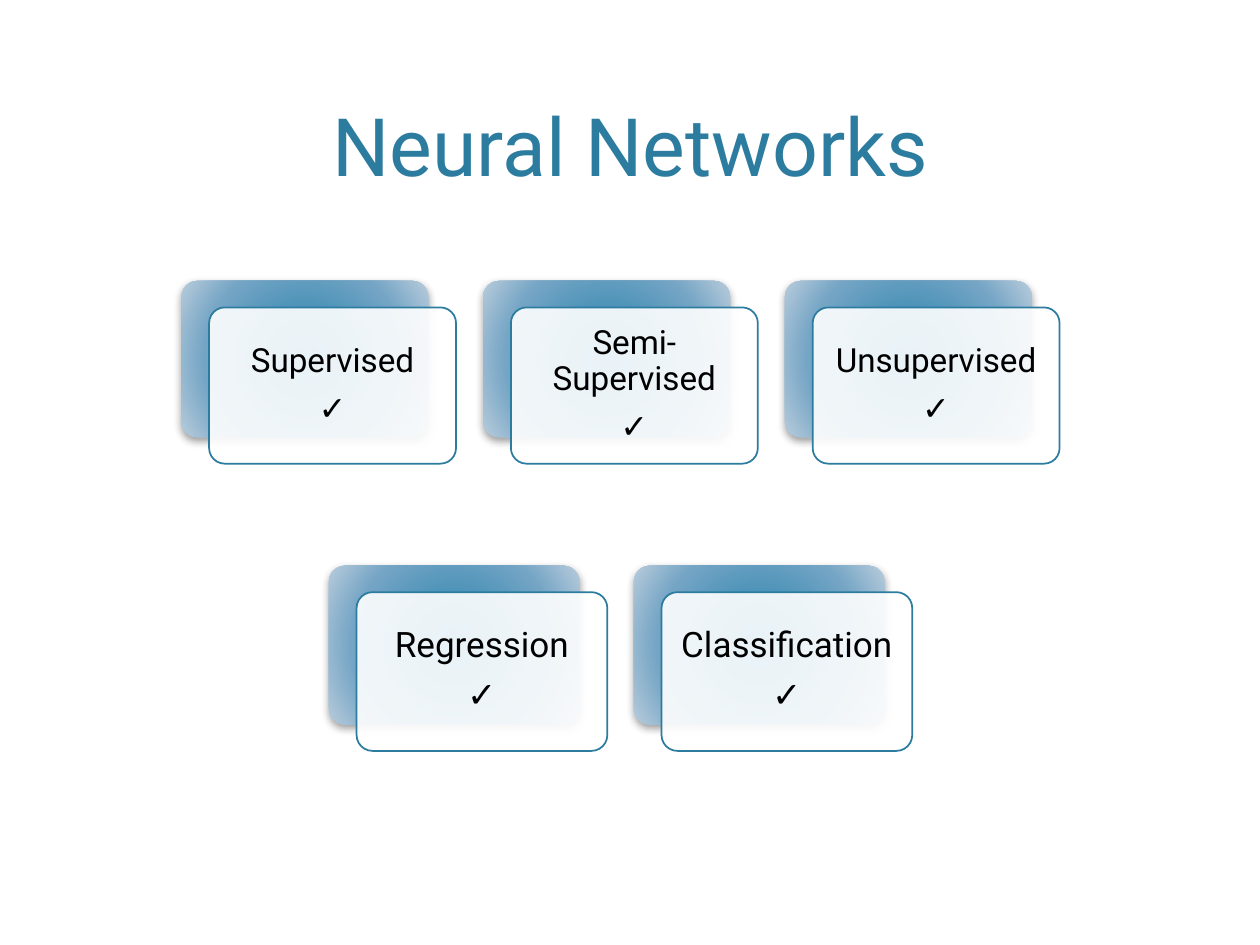
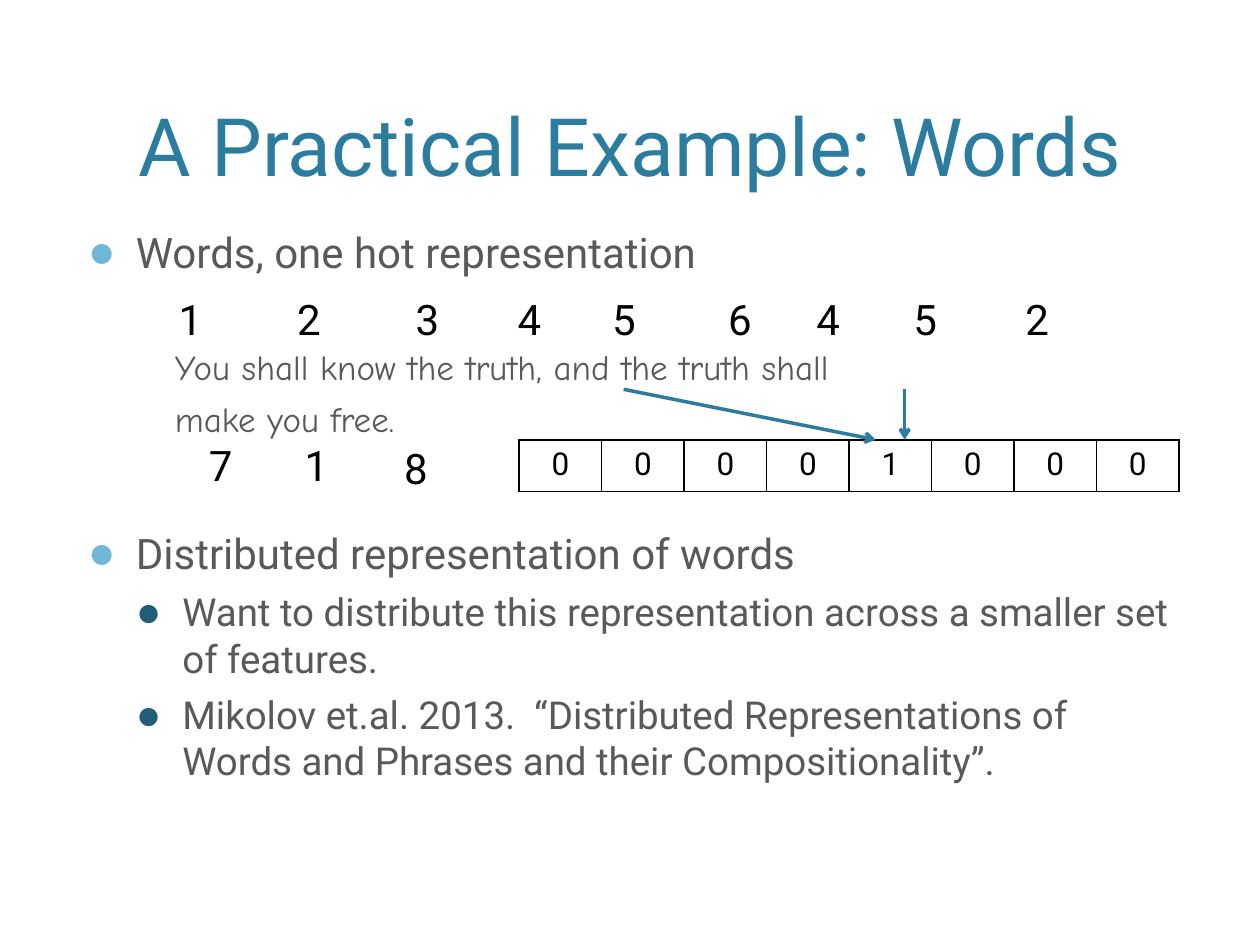
import pptx
import pptx.util
import pptx.dml.color
import pptx.enum.shapes
import pptx.enum.text
import pptx.oxml
import pptx.oxml.ns

Inches = pptx.util.Inches
Pt = pptx.util.Pt
ALIGN = pptx.enum.text.PP_ALIGN
ANCHOR = pptx.enum.text.MSO_ANCHOR
SHAPE = pptx.enum.shapes.MSO_SHAPE

# Shared look
FONT, QUOTE_FONT, CHECK_FONT = "Roboto", "Comic Neue", "Arial"
TEAL, GRAY, BLACK, WHITE = "2C7C9F", "595959", "000000", "FFFFFF"
GRADIENT = [(0, "2080AB"), (69, "75A5C5"), (100, "B8CCDC")]
TITLE_BOX = (0.6, 0.12, 8.8, 1.46)
TITLE_SIZE = 46

# Content: slide 1
NETWORKS_TITLE = "Neural Networks"
CARD_ROWS = [
    dict(labels=["Supervised", "Semi-Supervised", "Unsupervised"],
         left=1.44, top=2.23, width=1.96, height=1.24, step=2.395, size=19),
    dict(labels=["Regression", "Classification"],
         left=2.61, top=4.49, width=1.99, height=1.26, step=2.42, size=20),
]
CARD_SHIFT = (0.22, 0.21)

# Content: slide 2
WORDS_TITLE = "A Practical Example: Words"
BODY_BOX = (0.6, 1.75, 8.8, 5.58)
BODY_STYLES = {
    "heading": dict(size=24, font=FONT, margin=0.38, indent=-0.38, bullet="6FB7D7"),
    "quote": dict(size=20, font=QUOTE_FONT, margin=0.69, indent=0, bullet=None),
    "point": dict(size=22, font=FONT, margin=0.75, indent=-0.37, bullet="215D77"),
}
BODY = [  # style, space before in points, text
    ("heading", 0, "Words, one hot representation"),
    ("quote", 39, "You shall know the truth, and the truth shall"),
    ("quote", 6, "make you free."),
    ("heading", 50, "Distributed representation of words"),
    ("point", 6, "Want to distribute this representation across a smaller set of features."),
    ("point", 6, "Mikolov et.al. 2013.  “Distributed Representations of Words "
                 "and Phrases and their Compositionality”."),
]
WORD_NUMBERS = [  # number, left, top
    ("1", 1.32, 2.28), ("2", 2.26, 2.28), ("3", 3.2, 2.28), ("4", 4.01, 2.28),
    ("5", 4.76, 2.28), ("6", 5.68, 2.28), ("4", 6.38, 2.28), ("5", 7.15, 2.28),
    ("2", 8.04, 2.28), ("7", 1.56, 3.44), ("1", 2.32, 3.44), ("8", 3.11, 3.46),
]
NUMBER_SIZE = (0.38, 0.5)
ONE_HOT = "00001000"
ONE_HOT_BOX = (4.12, 3.49, 5.24, 0.41)
ARROWS = [((7.18, 3.09), (7.18, 3.49)), ((4.95, 3.09), (6.95, 3.49))]


def inches(values):
    return [Inches(value) for value in values]


def color(hex_value):
    return pptx.dml.color.RGBColor.from_string(hex_value)


def xml(text):
    namespace = pptx.oxml.ns.nsdecls("a")
    return pptx.oxml.parse_xml(text.replace(">", f" {namespace}>", 1)
                               if "/>" not in text.split(">")[0] + ">"
                               else text.replace("/>", f" {namespace}/>", 1))


def set_all(target, **values):
    for name, value in values.items():
        setattr(target, name, value)


def write(paragraph, text, size, font=FONT, fill=BLACK, **layout):
    set_all(paragraph, **layout)
    run = paragraph.add_run()
    run.text = text
    set_all(run.font, size=Pt(size), name=font, bold=False)
    run.font.color.rgb = color(fill)


def add_titled_slide(presentation, text):
    slide = presentation.slides.add_slide(presentation.slide_layouts[5])
    title = slide.shapes.title
    set_all(title, **dict(zip(("left", "top", "width", "height"), inches(TITLE_BOX))))
    set_all(title.text_frame, vertical_anchor=ANCHOR.BOTTOM, word_wrap=True,
            auto_size=pptx.enum.text.MSO_AUTO_SIZE.NONE)
    write(title.text_frame.paragraphs[0], text, TITLE_SIZE, fill=TEAL, alignment=ALIGN.CENTER)
    return slide


def add_rounded(shapes, box):
    shape = shapes.add_shape(SHAPE.ROUNDED_RECTANGLE, *inches(box))
    shape.adjustments[0] = 0.1
    shape.shadow.inherit = False
    return shape


def add_back_card(shapes, box):
    card = add_rounded(shapes, box)
    card.line.fill.background()
    properties = card.element.spPr
    stops = "".join(f'<a:gs pos="{position * 1000}"><a:srgbClr val="{value}"/></a:gs>'
                    for position, value in GRADIENT)
    gradient = xml(f'<a:gradFill><a:gsLst>{stops}</a:gsLst><a:path path="circle">'
                   '<a:fillToRect l="100000" t="100000" r="100000" b="100000"/>'
                   '</a:path></a:gradFill>')
    properties.find(pptx.oxml.ns.qn("a:prstGeom")).addnext(gradient)
    shadow = xml(f'<a:outerShdw blurRad="{Pt(5)}" dist="{Pt(2)}" dir="5400000" rotWithShape="0">'
                 f'<a:srgbClr val="{BLACK}"><a:alpha val="40000"/></a:srgbClr></a:outerShdw>')
    properties.find(pptx.oxml.ns.qn("a:effectLst")).append(shadow)


def add_front_card(shapes, box, label, size):
    card = add_rounded(shapes, box)
    card.fill.solid()
    card.fill.fore_color.rgb = color(WHITE)
    white = next(card.element.spPr.iter(pptx.oxml.ns.qn("a:srgbClr")))
    white.append(xml('<a:alpha val="90000"/>'))
    card.line.color.rgb = color(TEAL)
    card.line.width = Pt(1)
    frame = card.text_frame
    margin = Inches(0.08)
    set_all(frame, word_wrap=True, vertical_anchor=ANCHOR.MIDDLE, margin_left=margin,
            margin_right=margin, margin_top=margin, margin_bottom=margin)
    layout = dict(alignment=ALIGN.CENTER, line_spacing=0.9, space_after=Pt(0.35 * size))
    write(frame.paragraphs[0], label, size, **layout)
    write(frame.add_paragraph(), "✓", size, CHECK_FONT, **layout)


def add_card_row(slide, row):
    shapes = slide.shapes.add_group_shape().shapes
    shift_x, shift_y = CARD_SHIFT
    for index, label in enumerate(row["labels"]):
        left = row["left"] + index * row["step"]
        extent = (row["width"], row["height"])
        add_back_card(shapes, (left, row["top"], *extent))
        add_front_card(shapes, (left + shift_x, row["top"] + shift_y, *extent),
                       label, row["size"])


def add_body(slide):
    frame = slide.shapes.add_textbox(*inches(BODY_BOX)).text_frame
    frame.word_wrap = True
    for index, (style_name, space, text) in enumerate(BODY):
        style = BODY_STYLES[style_name]
        paragraph = frame.add_paragraph() if index else frame.paragraphs[0]
        write(paragraph, text, style["size"], style["font"], GRAY, space_before=Pt(space),
              level=int(style_name == "point"))
        properties = paragraph._p.get_or_add_pPr()
        properties.set("marL", str(Inches(style["margin"])))
        properties.set("indent", str(Inches(style["indent"])))
        if style["bullet"]:
            for part in (f'<a:buClr><a:srgbClr val="{style["bullet"]}"/></a:buClr>',
                         '<a:buSzPct val="110000"/>',
                         f'<a:buFont typeface="{CHECK_FONT}"/>',
                         '<a:buChar char="●"/>'):
                properties.append(xml(part))


def add_one_hot_table(slide):
    table = slide.shapes.add_table(1, len(ONE_HOT), *inches(ONE_HOT_BOX)).table
    set_all(table, first_row=False, horz_banding=False)
    for cell, digit in zip(table.iter_cells(), ONE_HOT):
        properties = cell._tc.get_or_add_tcPr()
        for side in "LRTB":
            properties.append(xml(f'<a:ln{side} w="{Pt(1)}"><a:solidFill>'
                                  f'<a:srgbClr val="{BLACK}"/></a:solidFill></a:ln{side}>'))
        cell.fill.background()
        write(cell.text_frame.paragraphs[0], digit, 18, alignment=ALIGN.CENTER)


def add_arrow(slide, start, end):
    arrow = slide.shapes.add_connector(pptx.enum.shapes.MSO_CONNECTOR.STRAIGHT,
                                       *inches(start + end))
    arrow.line.color.rgb = color(TEAL)
    arrow.line.width = Pt(2)
    arrow.line._get_or_add_ln().append(xml('<a:tailEnd type="arrow"/>'))
    arrow._element.spPr.append(xml("<a:effectLst/>"))


def main():
    presentation = pptx.Presentation()
    set_all(presentation, slide_width=Inches(10), slide_height=Inches(7.5))

    # Slide 1: learning types and tasks
    networks = add_titled_slide(presentation, NETWORKS_TITLE)
    for row in CARD_ROWS:
        add_card_row(networks, row)

    # Slide 2: one hot words
    words = add_titled_slide(presentation, WORDS_TITLE)
    add_body(words)
    for number, left, top in WORD_NUMBERS:
        box = words.shapes.add_textbox(*inches((left, top, *NUMBER_SIZE)))
        box.text_frame.word_wrap = False
        write(box.text_frame.paragraphs[0], number, 24, alignment=ALIGN.CENTER)
    add_one_hot_table(words)
    for start, end in ARROWS:
        add_arrow(words, start, end)

    presentation.save("out.pptx")


if __name__ == "__main__":
    main()
